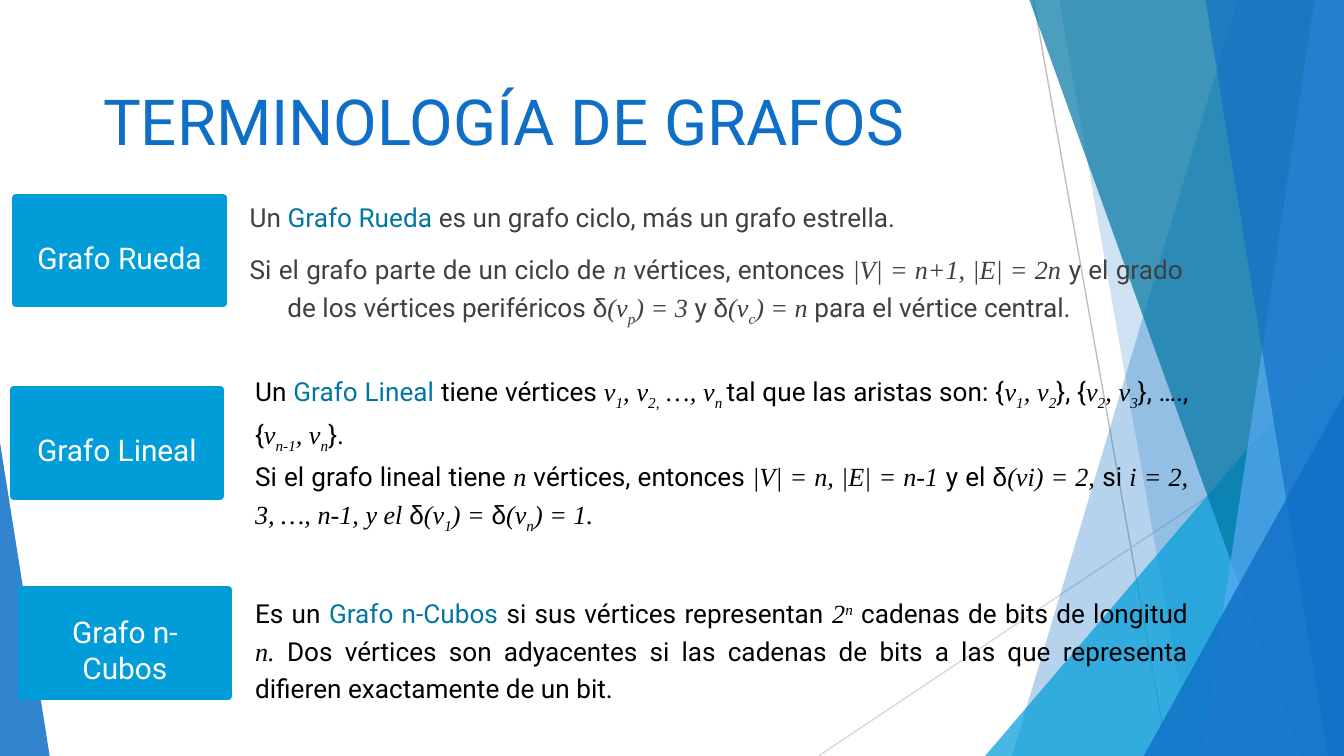
from itertools import groupby

from lxml.etree import SubElement
from pptx import Presentation
from pptx.dml.color import RGBColor
from pptx.enum.shapes import MSO_CONNECTOR as LINK, MSO_SHAPE as SHAPE
from pptx.enum.text import MSO_ANCHOR as ANCHOR, PP_ALIGN as ALIGN
from pptx.oxml.ns import qn
from pptx.util import Inches, Pt

# The grid has square cells, 100 columns by 56.25 rows
COLUMNS, ROWS = 100, 56.25
CELL = Inches(10) / COLUMNS

BLUE, CYAN, TEAL, SKY = "0F6FC6", "009DD9", "0076A3", "59AAF2"
BODY, BLACK, WHITE = "404040", "000000", "FFFFFF"

# Marks in the text: *math*, #term#, ~subscript~, ^superscript^
MARKS = "*#~^"
BASELINES = {"~": "-25000", "^": "30000"}


def rgb(value):
    return RGBColor.from_string(value)


def cells(*counts):
    return [round(count * CELL) for count in counts]


def assign(target, values):
    for name, value in values.items():
        setattr(target, name, value)


def styled_runs(marked):
    """Split marked text into (text, active marks) runs."""
    active, letters = frozenset(), []
    for letter in marked:
        if letter in MARKS:
            active = active ^ {letter}
        else:
            letters.append((letter, frozenset("δ") if letter == "δ" else active))
    for marks, group in groupby(letters, key=lambda pair: pair[1]):
        yield "".join(letter for letter, _ in group), marks


class GraphSlide:
    font, math_font, symbol_font = "Roboto", "Times New Roman", "Arial"

    def __init__(self, deck):
        self.slide = deck.slides.add_slide(deck.slide_layouts[6])
        self.shapes = self.slide.shapes

    def paint(self, shape, color, opacity=100):
        shape.shadow.inherit = False
        shape.fill.solid()
        shape.fill.fore_color.rgb = rgb(color)
        if opacity < 100:
            tint = shape._element.spPr.find(".//" + qn("a:srgbClr"))
            SubElement(tint, qn("a:alpha")).set("val", str(opacity * 1000))
            shape.line.fill.background()

    def hairline(self, start, end, color):
        line = self.shapes.add_connector(LINK.STRAIGHT, *cells(*start, *end))
        line.line.width = Pt(0.75)
        line.line.color.rgb = rgb(color)
        SubElement(line._element.spPr, qn("a:effectLst"))

    def band(self, top, bottom, color, opacity):
        """Fill from a slanted edge to the right side of the slide."""
        corner, *others = [cells(*point) for point in (
            (top, 0), (COLUMNS, 0), (COLUMNS, ROWS), (bottom, ROWS))]
        outline = self.shapes.build_freeform(*corner)
        outline.add_line_segments(others)
        self.paint(outline.convert_to_shape(), color, opacity)

    def wedge(self, left, top, width, apex, color, opacity):
        """Right triangle standing on the lower edge of the slide."""
        shape = self.shapes.add_shape(
            SHAPE.ISOSCELES_TRIANGLE, *cells(left, top, width, ROWS - top))
        shape.adjustments[0] = apex
        self.paint(shape, color, opacity)

    def fill_text(self, frame, paragraphs, size, color, layout, hanging=0):
        for index, marked in enumerate(paragraphs):
            line = frame.paragraphs[0] if index == 0 else frame.add_paragraph()
            assign(line, layout)
            if index == 0:
                line.space_before = Pt(0)
            if hanging:
                margin, = cells(hanging)
                line._p.get_or_add_pPr().set("marL", str(margin))
                line._p.get_or_add_pPr().set("indent", str(-margin))
            for text, marks in styled_runs(marked):
                run = line.add_run()
                run.text = text
                face = (self.symbol_font if "δ" in marks
                        else self.math_font if "*" in marks else self.font)
                assign(run.font, {"name": face, "size": Pt(size),
                                  "italic": "*" in marks})
                run.font.color.rgb = rgb(TEAL if "#" in marks else color)
                for mark in marks & set(BASELINES):
                    run._r.get_or_add_rPr().set("baseline", BASELINES[mark])

    def text(self, box, paragraphs, size, color, anchor, layout, hanging=0):
        frame = self.shapes.add_textbox(*cells(*box)).text_frame
        assign(frame, {"word_wrap": True, "vertical_anchor": anchor})
        self.fill_text(frame, paragraphs, size, color, layout, hanging)

    def label(self, left, top, name):
        shape = self.shapes.add_shape(
            SHAPE.RECTANGLE, *cells(left, top, 15.4, 7.9))
        self.paint(shape, CYAN)
        shape.line.color.rgb = rgb(CYAN)
        shape.line.width = Pt(4)
        side, top_inset, bottom_inset = cells(1.5, 2, 1)
        assign(shape.text_frame, {
            "word_wrap": True, "vertical_anchor": ANCHOR.MIDDLE,
            "margin_left": side, "margin_right": side,
            "margin_top": top_inset, "margin_bottom": bottom_inset})
        self.fill_text(shape.text_frame, [name], 16, WHITE,
                       {"alignment": ALIGN.CENTER, "space_after": Pt(10)})


def main():
    deck = Presentation()
    deck.slide_width, deck.slide_height = cells(COLUMNS, ROWS)
    page = GraphSlide(deck)

    # Background facets
    page.hairline((76.9, 0), (86.9, ROWS), "BFBFBF")
    page.hairline((COLUMNS, 30.2), (60.9, ROWS), "D9D9D9")
    page.band(92.1, 75.3, BLUE, 30)
    page.band(78.8, 88.7, BLUE, 20)
    page.wedge(73.3, 25, 26.7, 1, CYAN, 72)
    page.band(76.6, 96.8, TEAL, 70)
    page.band(97.8, 89.4, SKY, 70)
    page.band(89.7, 98.8, BLUE, 65)
    page.wedge(85.1, 29.4, 14.9, 1, BLUE, 80)
    page.wedge(0, 32.9, 3.7, 0, BLUE, 85)

    # Title
    page.text((6.7, 0.8, 88.3, 11.5), ["TERMINOLOGÍA DE GRAFOS"], 34, BLUE,
              ANCHOR.BOTTOM, {"alignment": ALIGN.LEFT})

    # Each term: label corner, name, text box, colour, gap, hanging indent
    terms = [
        ((1.2, 14.7), "Grafo Rueda", (17.6, 12.8, 71.4, 13.3), BODY, 7.5, 2.8, [
            "Un #Grafo Rueda #es un grafo ciclo, más un grafo estrella.",
            "Si el grafo parte de un ciclo de *n* vértices, entonces "
            "*|V| = n+1, |E| = 2n *y el grado de los vértices periféricos "
            "δ*(v~p~) = 3 *y δ*(v~c~) = n *para el vértice central."]),
        ((1, 29), "Grafo Lineal", (18, 27.3, 71.4, 12.6), BLACK, 0, 0, [
            "Un #Grafo Lineal #tiene vértices *v~1~, v~2,~ …, v~n ~*tal que "
            "las aristas son: {*v~1~, v~2~*}, {*v~2~, v~3~*}, …., "
            "{*v~n-1~, v~n~*}.",
            "Si el grafo lineal tiene *n* vértices, entonces "
            "*|V| = n, |E| = n-1 *y el δ*(vi) = 2, *si* i = 2, 3, …, n-1, "
            "y el δ(v~1~) = δ(v~n~) = 1.*"]),
        ((1.6, 43.9), "Grafo n-Cubos", (18, 42.3, 71.4, 11.8), BLACK, 0, 0, [
            "Es un #Grafo n-Cubos #si sus vértices representan *2^n^* cadenas "
            "de bits de longitud *n. *Dos vértices son adyacentes si las "
            "cadenas de bits a las que representa difieren exactamente de "
            "un bit."]),
    ]
    for corner, name, box, color, gap, hanging, definition in terms:
        page.text(box, definition, 14, color, ANCHOR.MIDDLE,
                  {"alignment": ALIGN.JUSTIFY, "line_spacing": 1.2,
                   "space_before": Pt(gap)}, hanging)
        page.label(*corner, name)

    deck.save("out.pptx")


if __name__ == "__main__":
    main()
